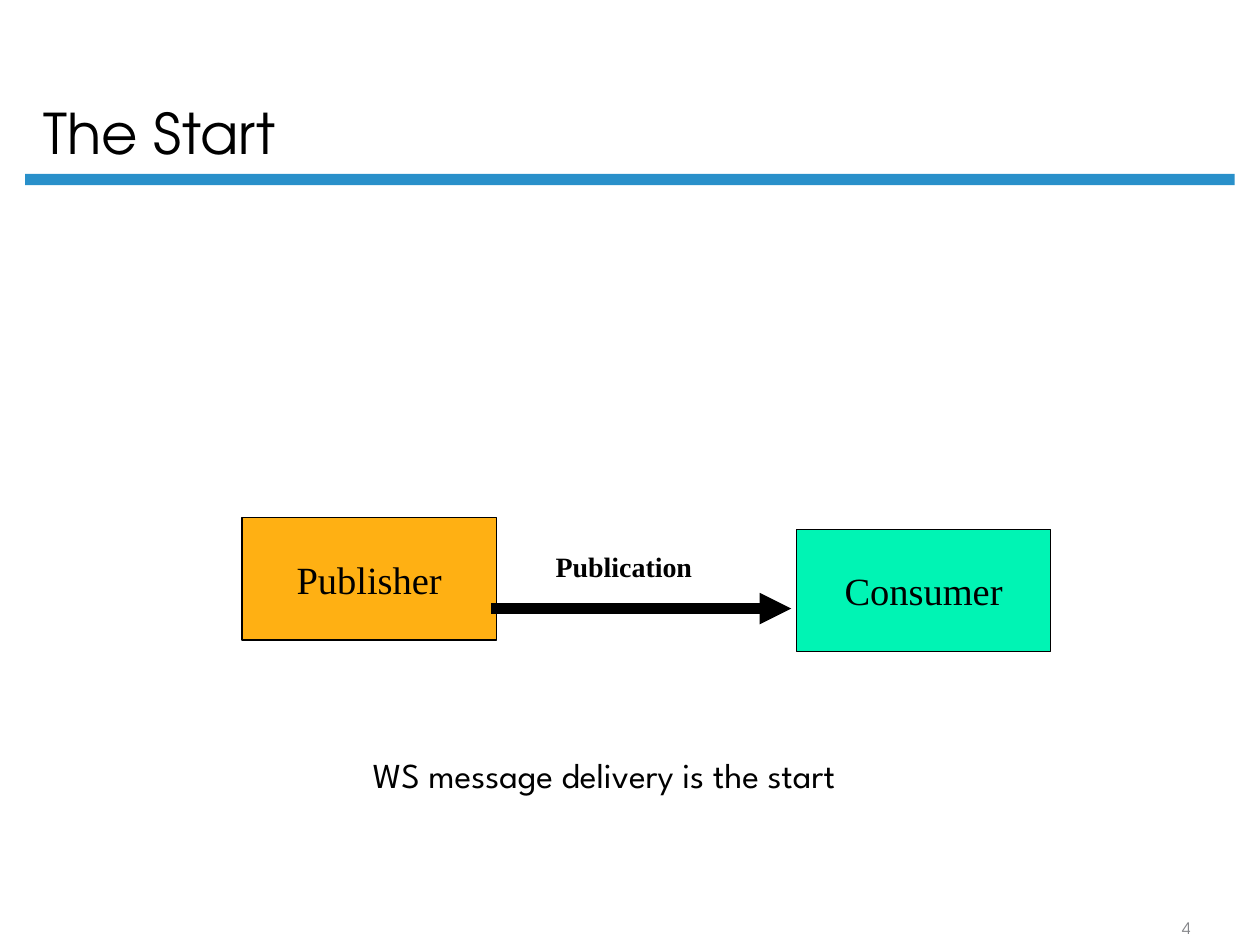
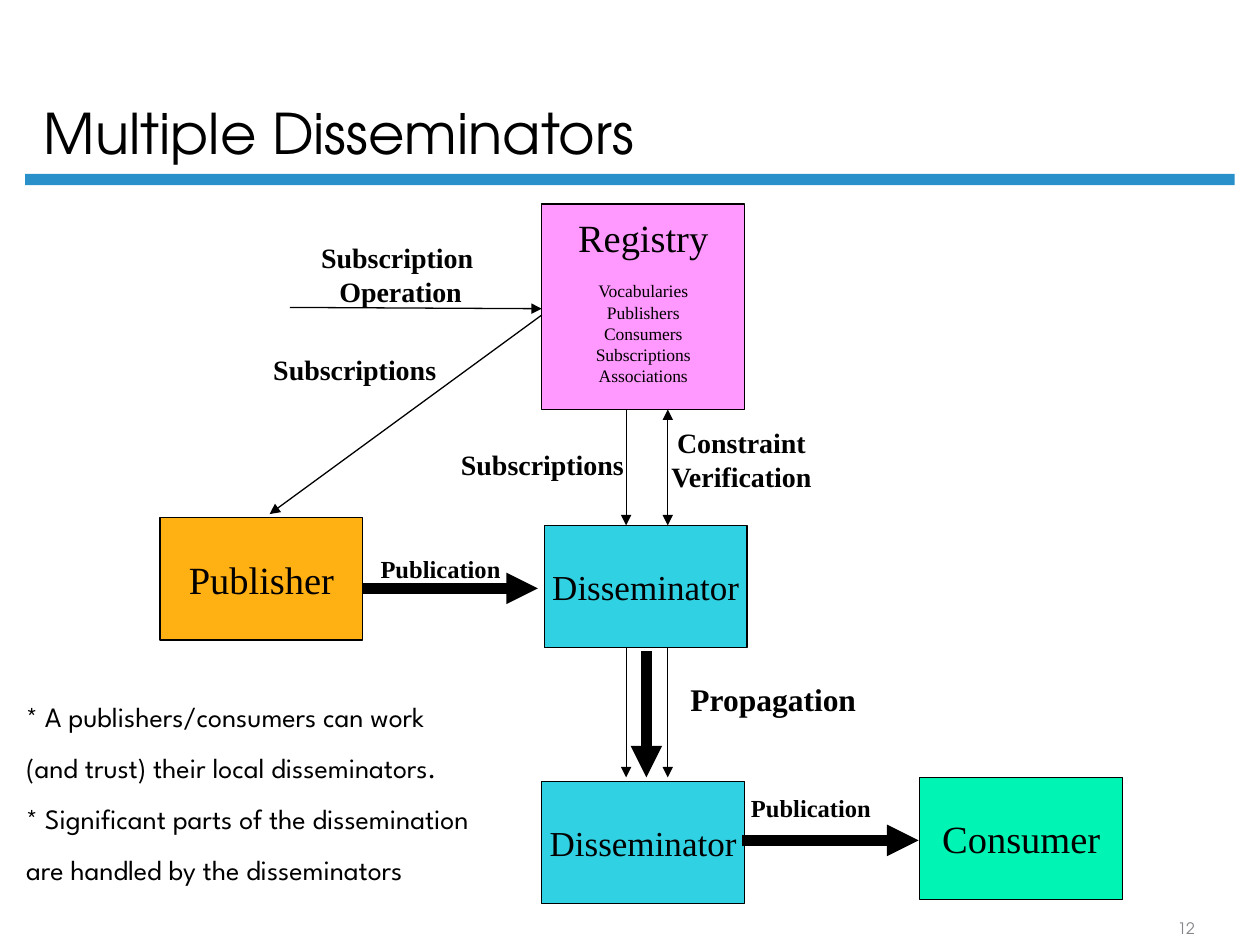
from dataclasses import dataclass

from lxml import etree
from pptx import Presentation
from pptx.dml.color import RGBColor
from pptx.enum.shapes import MSO_CONNECTOR, MSO_SHAPE
from pptx.enum.text import MSO_ANCHOR, MSO_AUTO_SIZE, PP_ALIGN
from pptx.oxml.ns import qn
from pptx.util import Pt

PX = 9144  # EMU per px, 100 px to the inch
LEFT, CENTER = PP_ALIGN.LEFT, PP_ALIGN.CENTER
TOP, MIDDLE, BOTTOM = MSO_ANCHOR.TOP, MSO_ANCHOR.MIDDLE, MSO_ANCHOR.BOTTOM
FIT = MSO_AUTO_SIZE.SHAPE_TO_FIT_TEXT
RECT, STRAIGHT = MSO_SHAPE.RECTANGLE, MSO_CONNECTOR.STRAIGHT


@dataclass(frozen=True)
class Theme:
    ink: str = "000000"
    paper: str = "FFFFFF"
    band: str = "2990CA"
    page: str = "848589"
    publisher: str = "FFB013"
    consumer: str = "00F4B4"
    disseminator: str = "30D1E2"
    registry: str = "FF99FF"
    title_font: str = "TeX Gyre Adventor"
    body_font: str = "League Spartan"
    diagram_font: str = "Times New Roman"
    title_size: int = 32
    node_size: int = 22
    caption_size: int = 20
    propagation_size: int = 18
    label_size: int = 16
    small_label_size: int = 14
    list_size: int = 10
    page_size: int = 9
    thin: float = 0.75
    thick: float = 6


T = Theme()


def emu(*lengths):
    return [n * PX for n in lengths]


def write(sp, lines, size, font, color=T.ink, bold=False, align=LEFT,
          anchor=TOP, inset=(10, 5), wrap=False, gap=0):
    """Fill a shape with one paragraph per line, gap points apart."""
    tf = sp.text_frame
    tf.word_wrap = wrap
    tf.vertical_anchor = anchor
    tf.margin_left = tf.margin_right = inset[0] * PX
    tf.margin_top = tf.margin_bottom = inset[1] * PX
    for i, line in enumerate(lines):
        p = tf.add_paragraph() if i else tf.paragraphs[0]
        p.text = line
        p.alignment = align
        if i and gap:
            p.space_before = Pt(gap)
        p.font.size = Pt(size)
        p.font.name = font
        p.font.bold = bold
        p.font.color.rgb = RGBColor.from_string(color)
    return tf


def text(s, box, lines, size, font, **style):
    return write(s.shapes.add_textbox(*emu(*box)), lines, size, font, **style)


def label(s, box, *lines, size=T.label_size, align=CENTER, inset=(10, 5)):
    tf = text(s, box, lines, size, T.diagram_font, bold=True, align=align, inset=inset)
    tf.auto_size = FIT
    return tf


def rect(s, box, fill, outlined=True):
    sp = s.shapes.add_shape(RECT, *emu(*box))
    sp.shadow.inherit = False
    sp.fill.solid()
    sp.fill.fore_color.rgb = RGBColor.from_string(fill)
    if outlined:
        sp.line.color.rgb = RGBColor.from_string(T.ink)
        sp.line.width = Pt(T.thin)
    else:
        sp.line.fill.background()
    return sp


def node(s, box, name, fill, size=T.node_size):
    write(rect(s, box, fill), [name], size, T.diagram_font,
          align=CENTER, anchor=MIDDLE, inset=(18, 9))


def arrow(s, x1, y1, x2, y2, width=T.thin, both=False):
    c = s.shapes.add_connector(STRAIGHT, *emu(x1, y1, x2, y2))
    c.line.color.rgb = RGBColor.from_string(T.ink)
    c.line.width = Pt(width)
    ln = c.line._get_or_add_ln()
    for end in ("a:headEnd", "a:tailEnd") if both else ("a:tailEnd",):
        etree.SubElement(ln, qn(end), type="triangle")
    etree.SubElement(c._element.spPr, qn("a:effectLst"))


def publication(s, x, y, length, label_box, size=T.small_label_size):
    """Thick arrow from (x, y), with a label box measured from its start."""
    arrow(s, x, y, x + length, y, T.thick)
    dx, dy, w, h = label_box
    label(s, (x + dx, y + dy, w, h), "Publication", size=size, align=LEFT, inset=(8, 4))


def registry(s, box):
    sp = rect(s, box, T.registry)
    tf = write(sp, ["Registry", "Vocabularies", "Publishers", "Consumers",
                    "Subscriptions", "Associations"],
               T.list_size, T.diagram_font, align=CENTER, inset=(18, 8))
    heading, first = tf.paragraphs[:2]
    heading.font.size = Pt(T.node_size)
    first.space_before = Pt(11.5)


def subscription_flow(s, box):
    """Operation into the registry, and its subscriptions down to the publisher."""
    x, y, w, h = box
    right, bottom = x + w, y + h
    arrow(s, x + 16, y + 58, right, y + 59)
    arrow(s, right, y + 64, x, bottom)
    label(s, (x + 31, y, 146, 64), "Subscription ", "Operation")
    label(s, (x - 7, y + 89, 149, 37), "Subscriptions")


def registry_links(s, box):
    x, y, w, h = box
    arrow(s, x, y, x, y + h)
    arrow(s, x + w, y, x + w, y + h, both=True)
    label(s, (x - 141, y + 25, 149, 37), "Subscriptions")
    label(s, (x + w - 8, y + 8, 133, 64), "Constraint", "Verification")


def propagation(s, box):
    """Two thin arrows with a thick one midway between them."""
    x, y, w, h = box
    for edge in (x, x + w):
        arrow(s, edge, y, edge, y + h)
    arrow(s, x + w // 2, y + 3, x + w // 2, y + h, T.thick)
    sp = rect(s, (x + w + 10, y + 22, 149, 38), T.paper, outlined=False)
    write(sp, ["Propagation"], T.propagation_size, T.diagram_font,
          bold=True, inset=(8, 4)).auto_size = FIT


def new_slide(prs, title, number):
    s = prs.slides.add_slide(prs.slide_layouts[6])
    rect(s, (20, 138, 960, 9), T.band, outlined=False)
    tf = text(s, (25, 12, 856, 125), [title], T.title_size, T.title_font,
              anchor=BOTTOM, wrap=True)
    tf.paragraphs[0].line_spacing = 0.9
    text(s, (900, 725, 83, 24), [str(number)], T.page_size, T.title_font,
         color=T.page, align=CENTER, anchor=BOTTOM, wrap=True)
    return s


def start_slide(prs):
    s = new_slide(prs, "The Start", 4)
    node(s, (192, 411, 202, 97), "Publisher", T.publisher)
    node(s, (632, 420, 202, 97), "Consumer", T.consumer)
    publication(s, 390, 483, 238, (43, -51, 125, 35), T.label_size)
    text(s, (259, 593, 441, 44), ["WS message delivery is the start"],
         T.caption_size, T.body_font, align=CENTER).auto_size = FIT


def disseminators_slide(prs):
    s = new_slide(prs, "Multiple Disseminators", 12)
    node(s, (127, 411, 161, 97), "Publisher", T.publisher)
    node(s, (730, 617, 161, 97), "Consumer", T.consumer)
    for x, y in ((432, 417), (430, 620)):
        node(s, (x, y, 161, 97), "Disseminator", T.disseminator, T.caption_size)
    registry(s, (430, 162, 161, 163))
    subscription_flow(s, (214, 186, 216, 222))
    registry_links(s, (497, 325, 33, 92))
    propagation(s, (497, 514, 33, 103))
    publication(s, 287, 467, 140, (7, -31, 112, 32))
    publication(s, 589, 667, 140, (-1, -42, 112, 32))
    text(s, (11, 550, 431, 159),
         ["* A publishers/consumers can work",
          "(and trust) their local disseminators.",
          "* Significant parts of the dissemination",
          "are handled by the disseminators"],
         T.label_size, T.body_font, gap=10).auto_size = FIT


def main():
    prs = Presentation()
    prs.slide_width, prs.slide_height = emu(1000, 750)
    start_slide(prs)
    disseminators_slide(prs)
    prs.save("out.pptx")


if __name__ == "__main__":
    main()
